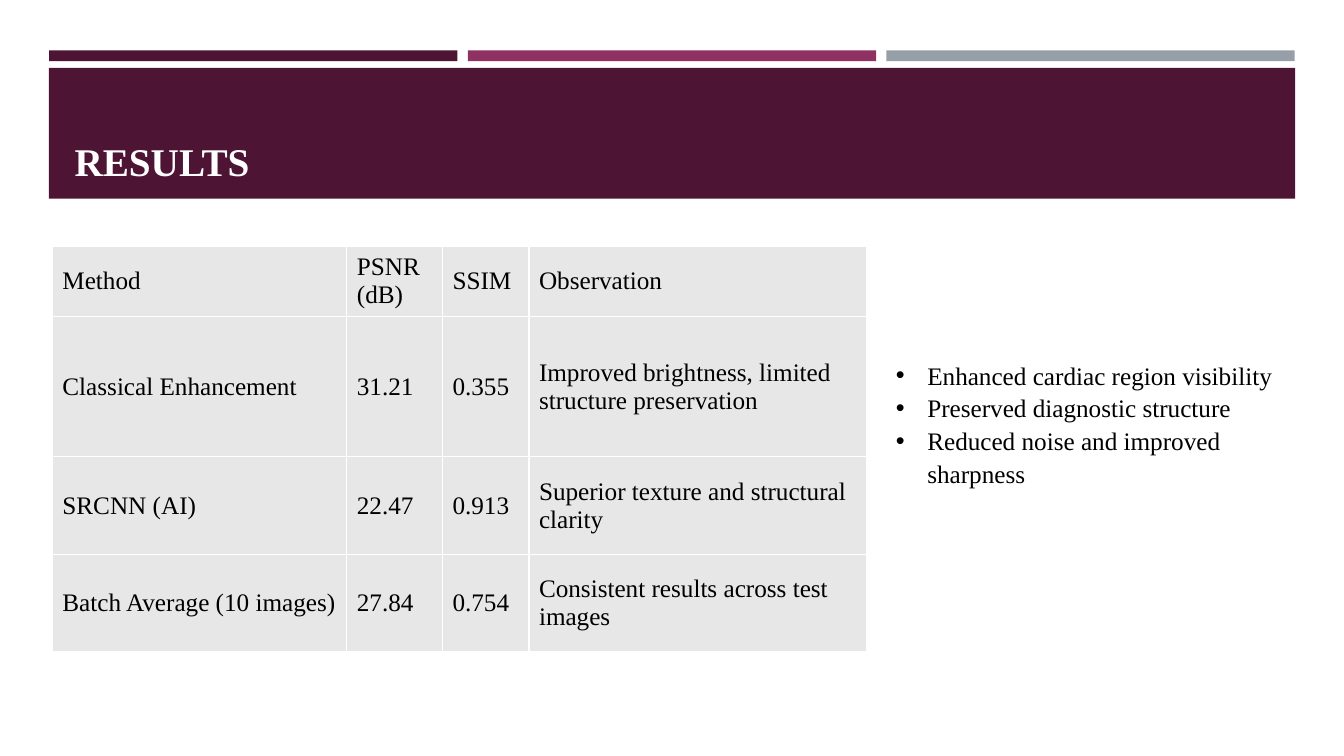
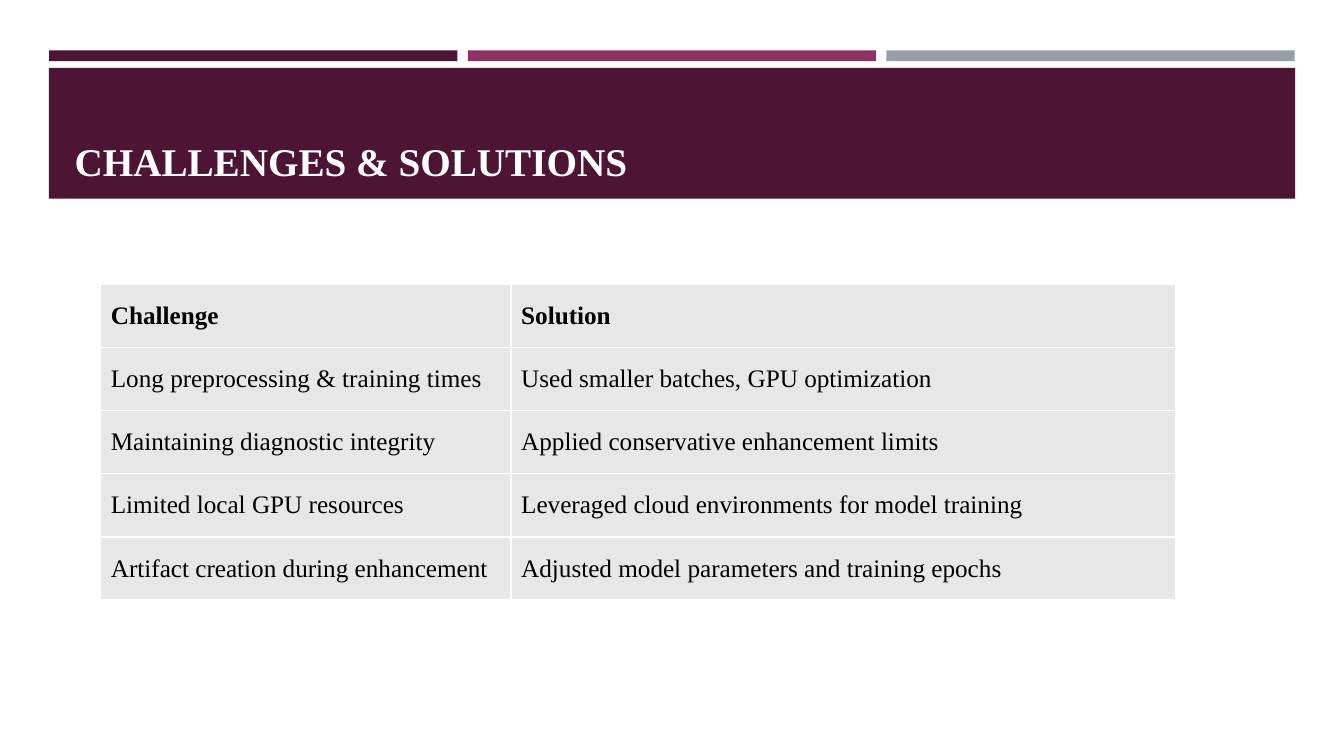
from dataclasses import dataclass

from pptx import Presentation
from pptx.dml.color import RGBColor
from pptx.enum.shapes import MSO_SHAPE
from pptx.enum.text import MSO_ANCHOR
from pptx.oxml import parse_xml
from pptx.oxml.ns import nsdecls
from pptx.util import Cm, Pt


@dataclass(frozen=True)
class Theme:
    font: str = "Times New Roman"
    plum: str = "4D1434"
    rose: str = "903163"
    steel: str = "969FA7"
    cell: str = "E7E7E7"
    white: str = "FFFFFF"
    black: str = "000000"
    head: int = 28
    body: int = 18


theme = Theme()


def write(par, text, size=theme.body, color=theme.black, bold=False):
    par.text = text
    font = par.font
    font.name = theme.font
    font.size = Pt(size)
    font.bold = bold
    font.color.rgb = RGBColor.from_string(color)


def block(slide, color, *box):
    shape = slide.shapes.add_shape(MSO_SHAPE.RECTANGLE, *map(Cm, box))
    shape.shadow.inherit = False
    shape.fill.solid()
    shape.fill.fore_color.rgb = RGBColor.from_string(color)
    shape.line.fill.background()


pages = [
    {
        "title": "RESULTS",
        "place": (1.32, 6.2),
        "cols": [7.42, 2.41, 2.18, 8.51],
        "rows": [1.65, 3.53, 2.46, 2.46],
        "bold": False,
        "cells": [
            ["Method", "PSNR (dB)", "SSIM", "Observation"],
            ["Classical Enhancement", "31.21", "0.355",
             "Improved brightness, limited structure preservation"],
            ["SRCNN (AI)", "22.47", "0.913",
             "Superior texture and structural clarity"],
            ["Batch Average (10 images)", "27.84", "0.754",
             "Consistent results across test images"],
        ],
        "points": [
            "Enhanced cardiac region visibility",
            "Preserved diagnostic structure",
            "Reduced noise and improved sharpness",
        ],
    },
    {
        "title": "CHALLENGES & SOLUTIONS",
        "place": (2.54, 7.17),
        "cols": [10.34, 16.74],
        "rows": [1.59] * 5,
        "bold": True,
        "cells": [
            ["Challenge", "Solution"],
            ["Long preprocessing & training times",
             "Used smaller batches, GPU optimization"],
            ["Maintaining diagnostic integrity",
             "Applied conservative enhancement limits"],
            ["Limited local GPU resources",
             "Leveraged cloud environments for model training"],
            ["Artifact creation during enhancement",
             "Adjusted model parameters and training epochs"],
        ],
        "points": [],
    },
]

deck = Presentation()
deck.slide_width = Cm(33.87)
deck.slide_height = Cm(19.05)

for page in pages:
    slide = deck.slides.add_slide(deck.slide_layouts[6])

    for i, color in enumerate((theme.plum, theme.rose, theme.steel)):
        block(slide, color, 1.24 + i * 10.55, 1.27, 10.29, 0.27)
    block(slide, theme.plum, 1.23, 1.71, 31.41, 3.3)

    frame = slide.shapes.add_textbox(
        Cm(1.63), Cm(1.96), Cm(30.63), Cm(2.82)).text_frame
    frame.word_wrap = True
    frame.vertical_anchor = MSO_ANCHOR.BOTTOM
    write(frame.paragraphs[0], page["title"], theme.head, theme.white, True)

    left, top = page["place"]
    cols, rows = page["cols"], page["rows"]
    table = slide.shapes.add_table(
        len(rows), len(cols), Cm(left), Cm(top),
        Cm(sum(cols)), Cm(sum(rows))).table
    table.first_row = False
    table.horz_banding = False
    for col, width in zip(table.columns, cols):
        col.width = Cm(width)
    for r, (row, height) in enumerate(zip(table.rows, rows)):
        row.height = Cm(height)
        for cell, text in zip(row.cells, page["cells"][r]):
            cell.vertical_anchor = MSO_ANCHOR.MIDDLE
            write(cell.text_frame.paragraphs[0], text,
                  bold=page["bold"] and r == 0)
            props = cell._tc.get_or_add_tcPr()
            for side in "LRTB":
                props.append(parse_xml(
                    f'<a:ln{side} {nsdecls("a")} w="{Pt(1)}"><a:solidFill>'
                    f'<a:srgbClr val="{theme.white}"/>'
                    f'</a:solidFill></a:ln{side}>'))
            cell.fill.solid()
            cell.fill.fore_color.rgb = RGBColor.from_string(theme.cell)

    if page["points"]:
        frame = slide.shapes.add_textbox(
            Cm(22.33), Cm(8.89), Cm(10.8), Cm(4.11)).text_frame
        frame.word_wrap = True
        for i, text in enumerate(page["points"]):
            par = frame.add_paragraph() if i else frame.paragraphs[0]
            props = par._p.get_or_add_pPr()
            props.set("marL", str(Cm(0.79)))
            props.set("indent", str(-Cm(0.79)))
            props.append(parse_xml(
                f'<a:buFont {nsdecls("a")} typeface="Arial"/>'))
            props.append(parse_xml(f'<a:buChar {nsdecls("a")} char="•"/>'))
            par.line_spacing = 1.08
            write(par, text)

deck.save("out.pptx")
